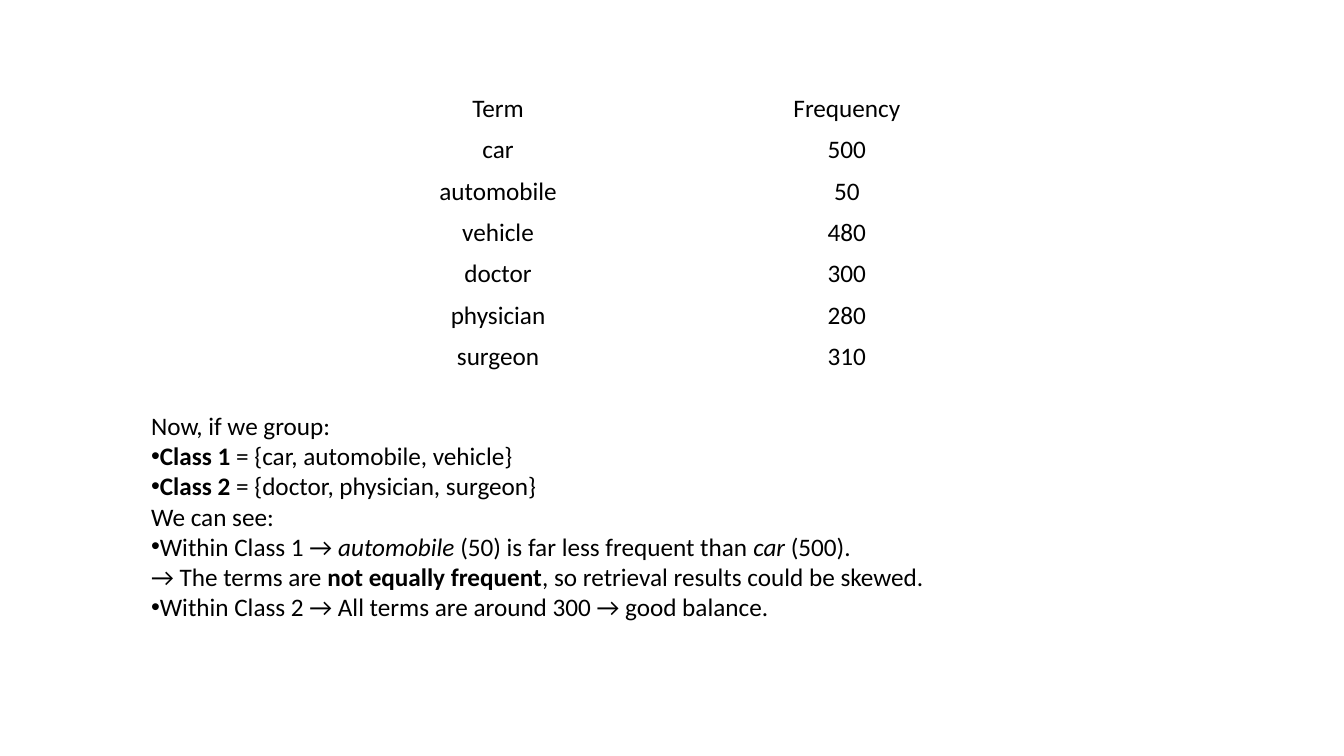
"""Build a slide with a term frequency table and notes on term classes."""
from lxml.etree import SubElement
from pptx import Presentation
from pptx.dml.color import RGBColor
from pptx.enum.text import MSO_ANCHOR, MSO_AUTO_SIZE, PP_ALIGN
from pptx.oxml.ns import qn
from pptx.util import Inches, Pt

BLACK = RGBColor(0, 0, 0)
TERMS = [
    ("Term", "Frequency"),
    ("car", "500"),
    ("automobile", "50"),
    ("vehicle", "480"),
    ("doctor", "300"),
    ("physician", "280"),
    ("surgeon", "310"),
]
NOTES = [
    (False, [("Now, if we group:", "")]),
    (True, [("Class 1", "b"), (" = {car, automobile, vehicle}", "")]),
    (True, [("Class 2", "b"), (" = {doctor, physician, surgeon}", "")]),
    (False, [("We can see:", "")]),
    (True, [
        ("Within Class 1 → ", ""),
        ("automobile", "i"),
        (" (50) is far less frequent than ", ""),
        ("car", "i"),
        (" (500).", ""),
        ("\n", ""),
        ("→ The terms are ", ""),
        ("not equally frequent", "b"),
        (", so retrieval results could be skewed.", ""),
    ]),
    (True, [("Within Class 2 → All terms are around 300 → good balance.", "")]),
]


def add_run(para, text, style=""):
    run = para.add_run()
    run.text = text
    font = run.font
    font.name = "Calibri"
    font.size = Pt(18)
    font.color.rgb = BLACK
    font.bold = style == "b"
    font.italic = style == "i"


deck = Presentation()
deck.slide_width = Inches(13.33)
deck.slide_height = Inches(7.5)
slide = deck.slides.add_slide(deck.slide_layouts[6])

frame = slide.shapes.add_table(
    len(TERMS), 2, Inches(3.21), Inches(0.87), Inches(6.92), Inches(2.88))
table = frame.table
table.first_row = False
table.horz_banding = False
for row, texts in enumerate(TERMS):
    for col, text in enumerate(texts):
        cell = table.cell(row, col)
        cell.fill.background()
        cell.vertical_anchor = MSO_ANCHOR.MIDDLE
        para = cell.text_frame.paragraphs[0]
        para.alignment = PP_ALIGN.CENTER
        add_run(para, text)

box = slide.shapes.add_textbox(
    Inches(1.4), Inches(4.02), Inches(10.11), Inches(2.22))
body = box.text_frame
body.word_wrap = True
body.auto_size = MSO_AUTO_SIZE.SHAPE_TO_FIT_TEXT
for index, (bullet, parts) in enumerate(NOTES):
    para = body.add_paragraph() if index else body.paragraphs[0]
    if bullet:
        props = para._p.get_or_add_pPr()
        SubElement(props, qn("a:buFont"), typeface="Arial")
        SubElement(props, qn("a:buChar"), char="•")
    for text, style in parts:
        if text == "\n":
            para.add_line_break()
        else:
            add_run(para, text, style)

deck.save("out.pptx")
